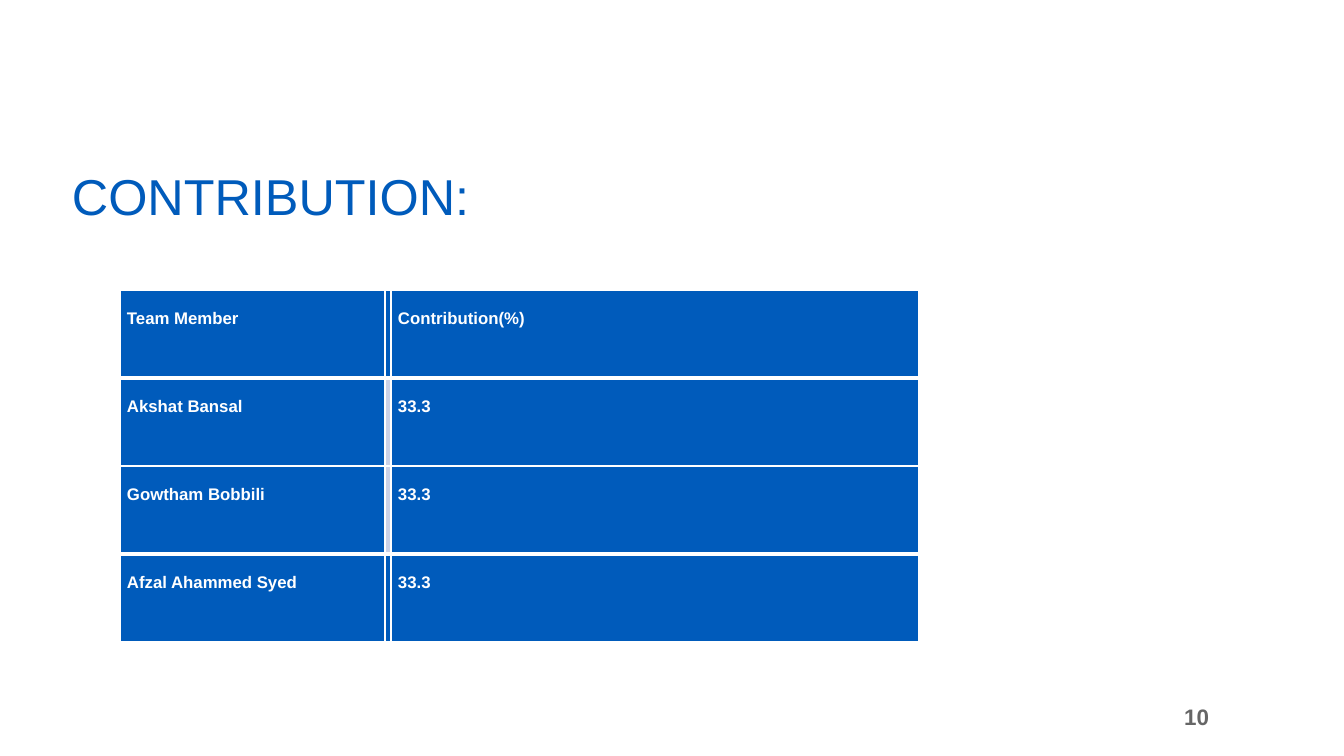
from lxml.etree import SubElement
from pptx import Presentation
from pptx.dml.color import RGBColor
from pptx.enum.text import MSO_ANCHOR, PP_ALIGN
from pptx.oxml.ns import qn
from pptx.util import Pt

COLORS = {"blue": "005BBB", "pale": "CCD2E7", "white": "FFFFFF", "gray": "666666"}
FONT = "Arial"
TITLE = "CONTRIBUTION:"
PAGE_NUMBER = "10"
ROWS = [
    ("Team Member", "Contribution(%)"),
    ("Akshat Bansal", "33.3"),
    ("Gowtham Bobbili", "33.3"),
    ("Afzal Ahammed Syed", "33.3"),
]

SLIDE_SIZE = (1344, 756)
TITLE_BOX = (62, 165, 766, 66)
NUMBER_BOX = (765, 697, 454, 40)
TABLE_ORIGIN = (120, 290)
COLUMN_WIDTHS = (265, 6, 528)
ROW_HEIGHT = 88
TEXT_INSET_LEFT, TEXT_INSET_TOP = 7, 19
THIN, THICK = 1, 3
THICK_RULES = (1, 3)


def px(length):
    return round(length * 914400 / 100.8)


def color(name):
    return RGBColor.from_string(COLORS[name])


def style(paragraph, size, color_name, bold=False):
    paragraph.font.name = FONT
    paragraph.font.size = Pt(size)
    paragraph.font.bold = bold
    paragraph.font.color.rgb = color(color_name)


def add_text(slide, box, text, size, color_name, bold, anchor, align):
    frame = slide.shapes.add_textbox(*map(px, box)).text_frame
    frame.word_wrap = True
    frame.vertical_anchor = anchor
    paragraph = frame.paragraphs[0]
    paragraph.text = text
    paragraph.alignment = align
    style(paragraph, size, color_name, bold)
    return paragraph


def set_borders(cell, top, bottom):
    properties = cell._tc.get_or_add_tcPr()
    widths = {"lnL": THIN, "lnR": THIN, "lnT": top, "lnB": bottom}
    for tag, width in widths.items():
        line = SubElement(properties, qn(f"a:{tag}"), w=str(Pt(width)))
        fill = SubElement(line, qn("a:solidFill"))
        SubElement(fill, qn("a:srgbClr"), val=COLORS["white"])


def rule_width(index):
    return THICK if index in THICK_RULES else THIN


def add_contribution_table(slide):
    size = (sum(COLUMN_WIDTHS), ROW_HEIGHT * len(ROWS))
    table = slide.shapes.add_table(
        len(ROWS), len(COLUMN_WIDTHS), *map(px, TABLE_ORIGIN + size)
    ).table
    for column, width in zip(table.columns, COLUMN_WIDTHS):
        column.width = px(width)
    for row_index, (member, share) in enumerate(ROWS):
        table.rows[row_index].height = px(ROW_HEIGHT)
        for column_index, text in enumerate((member, "", share)):
            cell = table.cell(row_index, column_index)
            cell.margin_left = px(TEXT_INSET_LEFT) if text else 0
            cell.margin_top = px(TEXT_INSET_TOP)
            cell.margin_right = cell.margin_bottom = 0
            set_borders(cell, rule_width(row_index), rule_width(row_index + 1))
            pale = not text and row_index in (1, 2)
            cell.fill.solid()
            cell.fill.fore_color.rgb = color("pale" if pale else "blue")
            paragraph = cell.text_frame.paragraphs[0]
            paragraph.text = text
            paragraph.line_spacing = Pt(13.7)
            style(paragraph, 12, "white", True)


def main():
    presentation = Presentation()
    presentation.slide_width, presentation.slide_height = map(px, SLIDE_SIZE)
    slide = presentation.slides.add_slide(presentation.slide_layouts[6])
    add_text(slide, NUMBER_BOX, PAGE_NUMBER, 16, "gray", True,
             MSO_ANCHOR.MIDDLE, PP_ALIGN.RIGHT)
    title = add_text(slide, TITLE_BOX, TITLE, 36, "blue", False,
                     MSO_ANCHOR.BOTTOM, PP_ALIGN.LEFT)
    title.line_spacing = 0.9
    add_contribution_table(slide)
    presentation.save("out.pptx")


if __name__ == "__main__":
    main()
